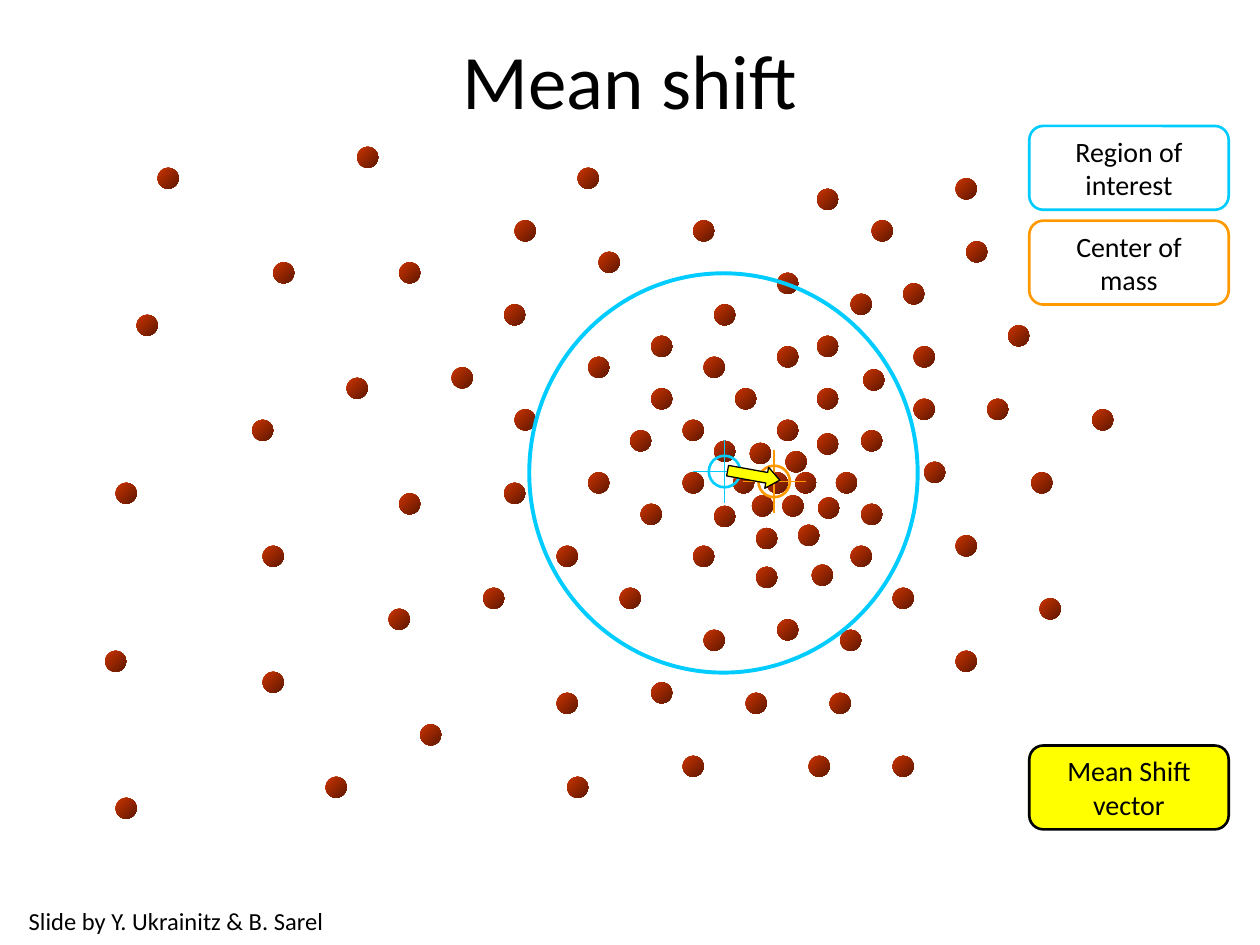
from dataclasses import dataclass

import pptx
import pptx.dml.color
import pptx.enum.shapes
import pptx.enum.text
import pptx.oxml.ns
import pptx.util
from lxml import etree

Cm = pptx.util.Cm
Shape = pptx.enum.shapes.MSO_SHAPE
Align = pptx.enum.text.PP_ALIGN
Anchor = pptx.enum.text.MSO_ANCHOR


@dataclass(frozen=True)
class Theme:
    font: str = "Calibri"
    title: int = 44
    label: int = 16
    credit: int = 14
    text: str = "000000"
    region: str = "00CCFF"
    mass: str = "FF9900"
    vector: str = "FFFF00"
    dot_light: str = "CC3300"
    dot_dark: str = "5E1800"


THEME = Theme()
STEP = 2.54 / 12  # grid step of the point field, in cm

# Columns and rows of the points, in grid steps from the field's corner
POINTS = [
    (63, 31), (65.7, 31), (64.8, 29), (61.4, 28.2), (64.5, 33.2), (61.6, 33.2),
    (67.9, 33.4), (59.8, 31), (69.6, 31), (67.8, 27.3), (64, 26), (66, 36),
    (62, 36.3), (58, 34.2), (55, 31), (58, 28), (72, 34), (71, 38),
    (67.3, 39.8), (62, 40), (56, 38), (51, 34), (50, 27), (55, 26),
    (60, 23), (67.8, 23), (64, 19), (52, 23), (57, 20), (64, 12),
    (58, 15), (67.8, 18), (67.8, 4), (71, 14), (72.2, 21.2), (72, 27),
    (77, 24), (77, 19), (76, 13), (73, 7), (81, 3), (82, 9),
    (86, 17), (78, 30), (84, 24), (94, 25), (81, 37), (88.2, 31),
    (75, 42), (89, 43), (81, 48), (70, 46), (64, 45), (69, 52),
    (75, 58), (67, 58), (61, 52), (57, 46), (49, 42), (52, 51),
    (55, 58), (44, 60), (43, 52), (36, 42), (43, 38), (46, 31),
    (39, 25), (46, 20), (52, 18), (47, 10), (56, 7), (45, 2),
    (39, 7), (38, 15), (33, 21), (38, 32), (28, 33), (27, 44),
    (30, 55), (21, 60), (15, 50), (15, 38), (23, 22), (28, 11),
    (16, 11), (14, 26), (0, 48), (1, 62), (1, 32), (3, 16),
    (5, 2), (24, 0),
]


def rgb(color):
    return pptx.dml.color.RGBColor.from_string(color)


def add_outline(shapes, kind, box, line=None, width=1.5, fill=None):
    shape = shapes.add_shape(kind, *map(Cm, box))
    shape.shadow.inherit = False
    if fill:
        shape.fill.solid()
        shape.fill.fore_color.rgb = rgb(fill)
    else:
        shape.fill.background()
    if line:
        shape.line.color.rgb = rgb(line)
        shape.line.width = pptx.util.Pt(width)
    else:
        shape.line.fill.background()
    return shape


def write_lines(frame, lines, size, align):
    for index, line in enumerate(lines):
        para = frame.add_paragraph() if index else frame.paragraphs[0]
        para.alignment = align
        span = para.add_run()
        span.text = line
        span.font.name = THEME.font
        span.font.size = pptx.util.Pt(size)
        span.font.color.rgb = rgb(THEME.text)


def add_text(page, box, text, size, align, wrap, anchor):
    frame = page.shapes.add_textbox(*map(Cm, box)).text_frame
    frame.word_wrap = wrap
    frame.vertical_anchor = anchor
    write_lines(frame, [text], size, align)


def add_point_field(page, left, top):
    for column, row in POINTS:
        box = (left + column * STEP, top + row * STEP, 2 * STEP, 2 * STEP)
        dot = add_outline(page.shapes, Shape.OVAL, box)
        dot.fill.gradient()
        dot.fill.gradient_angle = 315
        for stop, color in zip(dot.fill.gradient_stops, (THEME.dot_light, THEME.dot_dark)):
            stop.color.rgb = rgb(color)


def add_crosshair(group, left, top, size, color):
    middle, quarter = size / 2, size / 4
    add_outline(group.shapes, Shape.OVAL,
                (left + quarter, top + quarter, middle, middle), color)
    for ends in ((middle, 0, middle, size), (0, middle, size, middle)):
        x1, y1, x2, y2 = ends
        line = group.shapes.add_connector(
            pptx.enum.shapes.MSO_CONNECTOR.STRAIGHT,
            Cm(left + x1), Cm(top + y1), Cm(left + x2), Cm(top + y2))
        line.line.color.rgb = rgb(color)
        line.line.width = pptx.util.Pt(0.75)
        etree.SubElement(line._element.spPr, pptx.oxml.ns.qn("a:effectLst"))


def add_label(page, box, lines, line, fill=None):
    label = add_outline(page.shapes, Shape.ROUNDED_RECTANGLE, box, line, fill=fill)
    frame = label.text_frame
    frame.word_wrap = False
    frame.vertical_anchor = Anchor.MIDDLE
    write_lines(frame, lines, THEME.label, Align.CENTER)


def add_legend(page, left, top, width, height):
    labels = [
        (0, ["Region of", "interest"], THEME.region, None),
        (1.91, ["Center of", "mass"], THEME.mass, None),
        (12.49, ["Mean Shift", "vector"], THEME.text, THEME.vector),
    ]
    for offset, lines, line, fill in labels:
        add_label(page, (left, top + offset, width, height), lines, line, fill)


def add_mean_shift(page, left, top, width, height):
    # Region of interest with its centre
    region = page.shapes.add_group_shape()
    add_outline(region.shapes, Shape.OVAL, (left, top, width, height), THEME.region, 2.25)
    add_crosshair(region, left + 3.3, top + 3.36, 1.27, THEME.region)
    # Centre of mass
    mass = page.shapes.add_group_shape()
    add_crosshair(mass, left + 4.3, top + 3.56, 1.27, THEME.mass)
    # Shift from one to the other
    vector = add_outline(page.shapes, Shape.RIGHT_ARROW,
                         (left + 3.99, top + 3.86, 1.07, 0.43),
                         THEME.text, 0.75, THEME.vector)
    vector.adjustments[1] = 0.625
    vector.rotation = 10.3


def main():
    deck = pptx.Presentation()
    deck.slide_width, deck.slide_height = Cm(25.4), Cm(19.05)
    page = deck.slides.add_slide(deck.slide_layouts[6])
    add_point_field(page, 2.12, 2.96)
    add_mean_shift(page, 10.67, 5.51, 7.83, 8.05)
    add_legend(page, 20.75, 2.54, 4.02, 1.69)
    add_text(page, (0.33, 18.14, 7.29, 0.85), "Slide by Y. Ukrainitz & B. Sarel",
             THEME.credit, Align.LEFT, False, Anchor.TOP)
    add_text(page, (1.27, 0, 22.86, 3.18), "Mean shift",
             THEME.title, Align.CENTER, True, Anchor.MIDDLE)
    deck.save("out.pptx")


if __name__ == "__main__":
    main()
